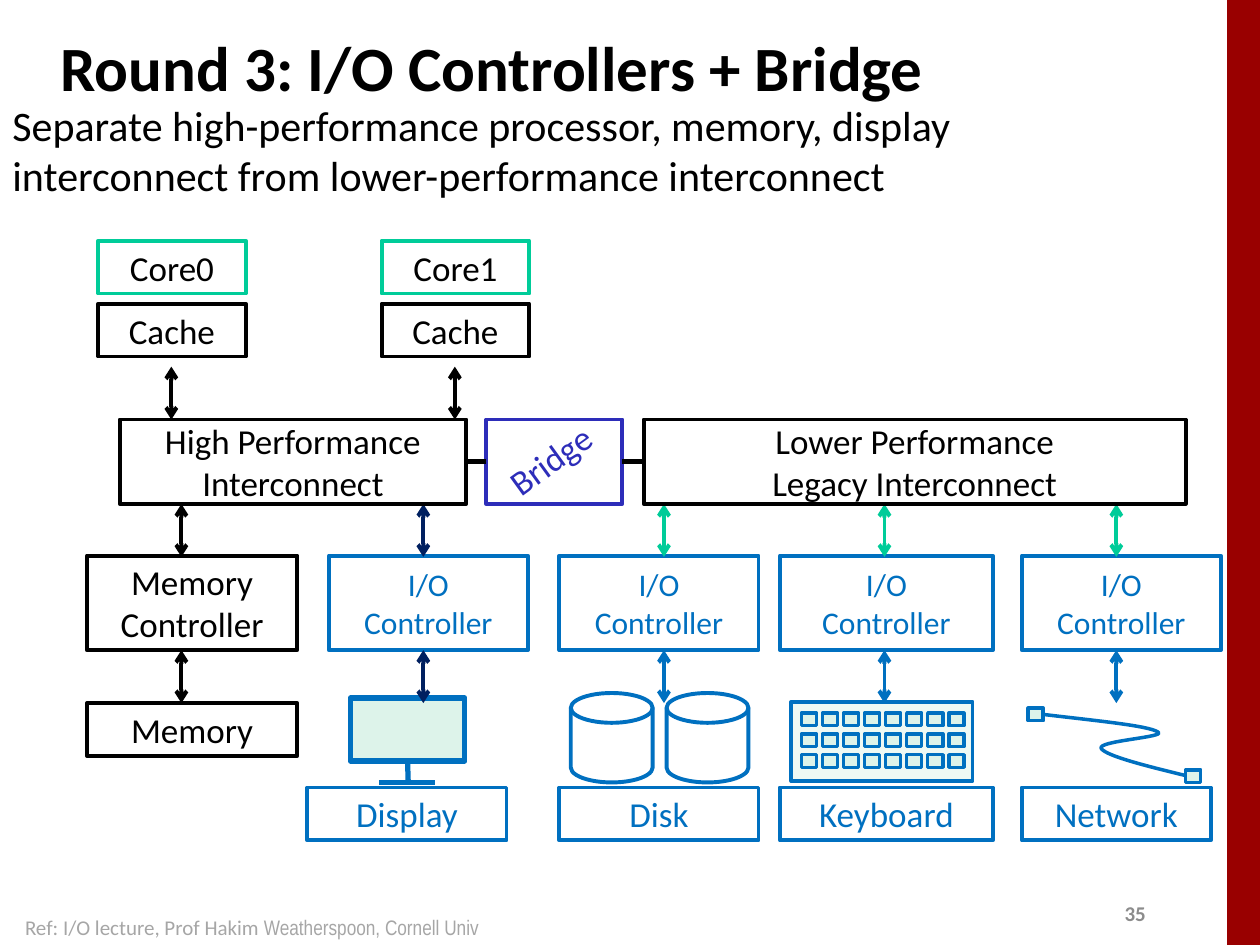
"""Build the slide on I/O controllers joined to two interconnects by a bridge."""
import itertools
from dataclasses import dataclass
from typing import Any, Optional

import pptx
import pptx.dml.color
import pptx.enum.shapes
import pptx.enum.text
import pptx.oxml.ns
import pptx.oxml.xmlchemy
import pptx.util

Inches, Pt = pptx.util.Inches, pptx.util.Pt
qn, OxmlElement = pptx.oxml.ns.qn, pptx.oxml.xmlchemy.OxmlElement
SHAPE = pptx.enum.shapes.MSO_SHAPE
STRAIGHT = pptx.enum.shapes.MSO_CONNECTOR.STRAIGHT
ALIGN = pptx.enum.text.PP_ALIGN
MIDDLE = pptx.enum.text.MSO_ANCHOR.MIDDLE

BLACK, BLUE, NAVY, GREEN = "000000", "0070C0", "002060", "00CC99"
VIOLET, RED, MINT, PALE = "2D2DB9", "990000", "DDF3EA", "EEF9F4"
TOP, LEFT, BOTTOM, RIGHT = range(4)
CONTROLLER = ("I/O", "Controller")


@dataclass
class Box:
    lines: tuple[str, ...]
    x: float
    y: float
    w: float
    h: float = 0.42
    line: str = BLACK
    color: str = BLACK
    size: int = 20


@dataclass
class Arrow:
    x: float
    y: float
    color: str = BLACK
    h: float = 0.42


@dataclass
class Device:
    name: str
    x: float
    controller_w: float
    label_x: float
    label_w: float
    arrow_x: float
    upper: str = GREEN
    lower: str = BLUE


DEVICES = [
    Device("Display", 2.61, 1.58, 2.44, 1.58, 3.36, NAVY, NAVY),
    Device("Disk", 4.44, 1.58, 4.44, 1.58, 5.27),
    Device("Keyboard", 6.19, 1.69, 6.19, 1.69, 7.02),
    Device("Network", 8.11, 1.58, 8.11, 1.5, 8.86),
]


def rgb(value: str) -> pptx.dml.color.RGBColor:
    return pptx.dml.color.RGBColor.from_string(value)


def add_run(p: Any, text: str, size: float, color: str, font: str = "Calibri", bold: bool = False) -> None:
    r = p.add_run()
    r.text = text
    r.font.size, r.font.name, r.font.bold = Pt(size), font, bold
    r.font.color.rgb = rgb(color)


def style(sp: Any, fill: Optional[str], line: Optional[str], width: float) -> None:
    sp.shadow.inherit = False
    if fill:
        sp.fill.solid()
        sp.fill.fore_color.rgb = rgb(fill)
    else:
        sp.fill.background()
    if line:
        sp.line.color.rgb = rgb(line)
        sp.line.width = Pt(width)
    else:
        sp.line.fill.background()


def add_preset(shapes: Any, kind: Any, x: float, y: float, w: float, h: float,
               fill: Optional[str] = None, line: Optional[str] = BLUE, width: float = 2.25) -> Any:
    sp = shapes.add_shape(kind, Inches(x), Inches(y), Inches(w), Inches(h))
    style(sp, fill, line, width)
    return sp


def add_box(shapes: Any, box: Box) -> Any:
    sp = add_preset(shapes, SHAPE.RECTANGLE, box.x, box.y, box.w, box.h, line=box.line)
    tf = sp.text_frame
    tf.word_wrap, tf.vertical_anchor = True, MIDDLE
    tf.margin_left = tf.margin_right = tf.margin_top = tf.margin_bottom = 0
    for i, text in enumerate(box.lines):
        p = tf.add_paragraph() if i else tf.paragraphs[0]
        p.alignment = ALIGN.CENTER
        add_run(p, text, box.size, box.color)
    return sp


def add_line(shapes: Any, x1: float, y1: float, x2: float, y2: float, color: str, width: float) -> Any:
    cx = shapes.add_connector(STRAIGHT, Inches(x1), Inches(y1), Inches(x2), Inches(y2))
    cx.line.color.rgb = rgb(color)
    cx.line.width = Pt(width)
    cx._element.spPr.append(OxmlElement("a:effectLst"))
    return cx


def add_arrow(shapes: Any, arrow: Arrow) -> None:
    cx = add_line(shapes, arrow.x, arrow.y, arrow.x, arrow.y + arrow.h, arrow.color, 2.25)
    for tag in ("a:headEnd", "a:tailEnd"):
        end = OxmlElement(tag)
        end.set("type", "arrow")
        cx._element.spPr.find(qn("a:ln")).append(end)


def join(shapes: Any, first: Any, second: Any) -> None:
    cx = add_line(shapes, 0, 0, 1, 1, BLACK, 3)
    cx.begin_connect(first, RIGHT)
    cx.end_connect(second, LEFT)


def add_text(shapes: Any, x: float, y: float, w: float, h: float) -> Any:
    sp = shapes.add_textbox(Inches(x), Inches(y), Inches(w), Inches(h))
    sp.text_frame.word_wrap = True
    return sp


def draw_display(shapes: Any) -> None:
    screen = add_preset(shapes, SHAPE.RECTANGLE, 2.78, 5.54, 0.91, 0.5, MINT, BLUE, 3)
    stand = add_line(shapes, 3.24, 6.04, 3.24, 6.21, BLUE, 3)
    stand.begin_connect(screen, BOTTOM)
    add_line(shapes, 3.01, 6.21, 3.45, 6.21, BLUE, 3)


def draw_keyboard(shapes: Any) -> None:
    add_preset(shapes, SHAPE.RECTANGLE, 6.28, 5.57, 1.44, 0.63, PALE, BLUE, 2)
    for col, row in itertools.product(range(8), range(3)):
        add_preset(shapes, SHAPE.RECTANGLE, 6.36 + col * 1.17 / 7, 5.66 + row * 0.33 / 2,
                   0.12, 0.1, MINT, BLUE, 2)


def draw_network(shapes: Any) -> None:
    curve = [(8.7, 5.72), (9.12, 5.76), (9.19, 5.81), (9.27, 5.85), (8.7, 5.88), (8.74, 5.94),
             (8.78, 6), (9.1, 6.08), (9.43, 6.16)]
    builder = shapes.build_freeform(Inches(8.28), Inches(5.67))
    builder.add_line_segments([(Inches(x), Inches(y)) for x, y in curve], close=False)
    cable = builder.convert_to_shape()
    style(cable, None, BLUE, 2)
    segments = list(cable._element.iter(qn("a:lnTo")))
    for i in range(0, len(segments), 3):
        bezier = OxmlElement("a:cubicBezTo")
        segments[i].addprevious(bezier)
        for segment in segments[i:i + 3]:
            bezier.append(segment[0])
            segment.getparent().remove(segment)
    for x, y in ((8.16, 5.62), (9.41, 6.11)):
        add_preset(shapes, SHAPE.RECTANGLE, x, y, 0.12, 0.1, MINT, BLUE, 2)


def main() -> None:
    prs = pptx.Presentation()
    prs.slide_width, prs.slide_height = Inches(10), Inches(7.5)
    s = prs.slides.add_slide(prs.slide_layouts[5])
    shapes = s.shapes
    add_preset(shapes, SHAPE.RECTANGLE, 9.74, 0, 0.26, 7.5, RED, None)

    title = shapes.title
    title.left, title.top, title.width, title.height = map(Inches, (0.38, 0.11, 8.3, 0.83))
    title.text_frame.vertical_anchor = MIDDLE
    p = title.text_frame.paragraphs[0]
    p.alignment = ALIGN.LEFT
    add_run(p, "Round 3: I/O Controllers + Bridge", 36, BLACK, bold=True)

    p = add_text(shapes, 0, 0.74, 9.06, 1.14).text_frame.paragraphs[0]
    p.space_before = Pt(4.8)
    add_run(p, "Separate high-performance processor, memory, display interconnect "
               "from lower-performance interconnect", 24, BLACK)

    draw_display(shapes.add_group_shape().shapes)
    for i, x in enumerate((0.78, 3.03)):
        add_box(shapes, Box((f"Core{i}",), x, 1.91, 1.17, line=GREEN))
        add_box(shapes, Box(("Cache",), x, 2.41, 1.17))
        add_arrow(shapes, Arrow(x + 0.58, 2.91))

    add_box(shapes, Box(("Memory", "Controller"), 0.69, 4.41, 1.67, 0.75))
    add_box(shapes, Box(("Memory",), 0.69, 5.58, 1.67))
    for y in (4, 5.16):
        add_arrow(shapes, Arrow(1.44, y))
    for d in DEVICES:
        add_box(shapes, Box(CONTROLLER, d.x, 4.41, d.controller_w, 0.75, BLUE, BLUE, 18))
        add_box(shapes, Box((d.name,), d.label_x, 6.25, d.label_w, line=BLUE, color=BLUE))
        add_arrow(shapes, Arrow(d.arrow_x, 4, d.upper))
        add_arrow(shapes, Arrow(d.arrow_x, 5.16, d.lower))

    disks = shapes.add_group_shape().shapes
    for x in (4.53, 5.29):
        add_preset(disks, SHAPE.FLOWCHART_MAGNETIC_DISK, x, 5.5, 0.65, 0.71)
    draw_keyboard(shapes.add_group_shape().shapes)
    draw_network(shapes.add_group_shape().shapes)

    fast = add_box(shapes, Box(("High Performance", "Interconnect"), 0.95, 3.33, 2.75, 0.67))
    slow = add_box(shapes, Box(("Lower Performance", "Legacy Interconnect"), 5.11, 3.33, 4.3, 0.67))
    bridge = add_preset(shapes, SHAPE.RECTANGLE, 3.86, 3.33, 1.08, 0.67, line=VIOLET)
    join(shapes, fast, bridge)
    join(shapes, bridge, slow)

    label = add_text(shapes, 3.72, 3.33, 1.29, 0.64)
    label.rotation = 324.1
    credit = add_text(shapes, -0.38, 7.16, 4.76, 0.4)
    number = add_text(shapes, 8.81, 7.1, 0.4, 0.3)
    for sp in (label, credit, number):
        sp.text_frame.vertical_anchor = MIDDLE
        sp.text_frame.paragraphs[0].alignment = ALIGN.CENTER
    add_run(label.text_frame.paragraphs[0], "Bridge", 20, VIOLET)
    p = credit.text_frame.paragraphs[0]
    add_run(p, "Ref: I/O lecture, Prof Hakim ", 12, "A6A6A6")
    add_run(p, "Weatherspoon, Cornell Univ", 12, "A6A6A6", "Arial Narrow")
    add_run(number.text_frame.paragraphs[0], "35", 12, "8C8C8C", bold=True)

    prs.save("out.pptx")


if __name__ == "__main__":
    main()
